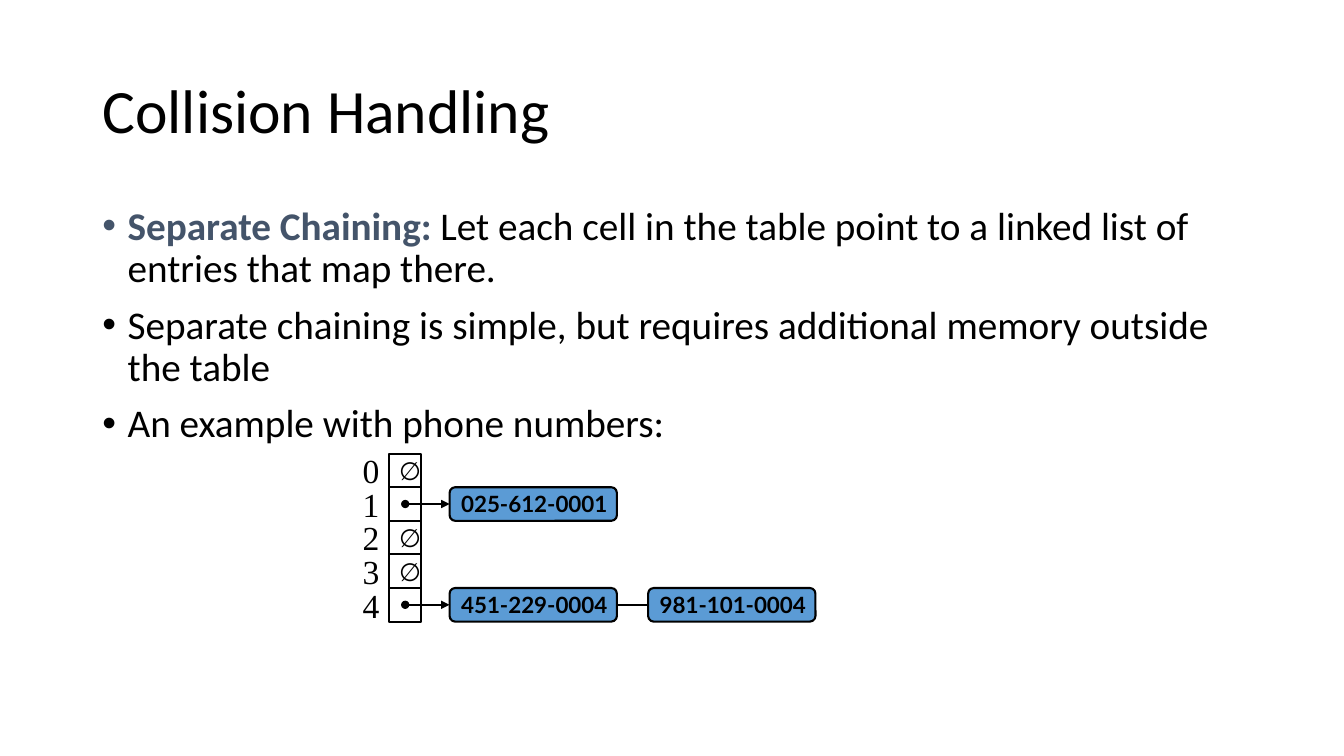
from lxml import etree
from pptx import Presentation
from pptx import util as u
from pptx.dml import color
from pptx.enum import shapes, text
from pptx.oxml import ns

INK, BLUE, SLATE = "000000", "5B9BD5", "44546A"
COLUMNS, ROWS = 80, 45


def rgb(value):
    return color.RGBColor.from_string(value)


def add_text(paragraph, content, font="Calibri", size=28, ink=INK, bold=False):
    run = paragraph.add_run()
    run.text = content
    run.font.name = font
    run.font.size = u.Pt(size)
    run.font.bold = bold
    run.font.color.rgb = rgb(ink)


class Board:
    line_width = u.Pt(1.5)

    def __init__(self, presentation):
        self.column = presentation.slide_width / COLUMNS
        self.row = presentation.slide_height / ROWS
        self.slide = presentation.slides.add_slide(presentation.slide_layouts[1])

    def place(self, left, top, width, height):
        return [round(left * self.column), round(top * self.row),
                round(width * self.column), round(height * self.row)]

    def placeholder(self, index, box, anchor):
        shape = self.slide.placeholders[index]
        shape.left, shape.top, shape.width, shape.height = self.place(*box)
        frame = shape.text_frame
        frame.auto_size = text.MSO_AUTO_SIZE.NONE
        frame.vertical_anchor = anchor
        return frame

    def title(self, content, box):
        frame = self.placeholder(0, box, text.MSO_ANCHOR.MIDDLE)
        paragraph = frame.paragraphs[0]
        paragraph.alignment = text.PP_ALIGN.LEFT
        paragraph.line_spacing = 0.9
        add_text(paragraph, content, size=44)

    def bullets(self, items, box):
        frame = self.placeholder(1, box, text.MSO_ANCHOR.TOP)
        for number, (lead, content) in enumerate(items):
            paragraph = frame.add_paragraph() if number else frame.paragraphs[0]
            paragraph.line_spacing = 0.9
            paragraph.space_before = u.Pt(10)
            properties = paragraph._p.get_or_add_pPr()
            properties.set("marL", str(u.Inches(0.25)))
            properties.set("indent", str(u.Inches(-0.25)))
            etree.SubElement(properties, ns.qn("a:buChar"), char="•")
            if lead:
                add_text(paragraph, lead, ink=SLATE, bold=True)
            add_text(paragraph, content)

    def box(self, kind, box, content="", fill=None, **style):
        shape = self.slide.shapes.add_shape(kind, *self.place(*box))
        shape.shadow.inherit = False
        if fill:
            shape.fill.solid()
            shape.fill.fore_color.rgb = rgb(fill)
        else:
            shape.fill.background()
        shape.line.color.rgb = rgb(INK)
        shape.line.width = self.line_width
        if content:
            frame = shape.text_frame
            frame.word_wrap = False
            frame.vertical_anchor = text.MSO_ANCHOR.MIDDLE
            frame.paragraphs[0].alignment = text.PP_ALIGN.LEFT
            add_text(frame.paragraphs[0], content, font="Lato", **style)

    def label(self, content, box):
        frame = self.slide.shapes.add_textbox(*self.place(*box)).text_frame
        frame.word_wrap = False
        frame.auto_size = text.MSO_AUTO_SIZE.SHAPE_TO_FIT_TEXT
        add_text(frame.paragraphs[0], content, font="Times New Roman", size=24)

    def link(self, start, end, row, arrow):
        height = round(row * self.row)
        connector = self.slide.shapes.add_connector(
            shapes.MSO_CONNECTOR.STRAIGHT, round(start * self.column), height,
            round(end * self.column), height)
        connector.line.color.rgb = rgb(INK)
        connector.line.width = self.line_width
        if arrow:
            line = connector.line._get_or_add_ln()
            etree.SubElement(line, ns.qn("a:headEnd"), type="oval")
            etree.SubElement(line, ns.qn("a:tailEnd"), type="triangle")
        etree.SubElement(connector._element.spPr, ns.qn("a:effectLst"))


def draw_hash_table(board, chains):
    cell_left, cell_width, height = 23.16, 1.92, 2
    node_left, node_width, node_pitch = 26.76, 9.96, 11.82
    for index, chain in enumerate(chains):
        top = 27 + index * height
        middle = top + height / 2
        board.label(str(index), (21, top - 0.5, 2.2, 3))
        board.box(shapes.MSO_SHAPE.RECTANGLE, (cell_left, top, cell_width, height),
                  "" if chain else "∅", size=18)
        start = cell_left + cell_width / 2
        for position, number in enumerate(chain):
            left = node_left + position * node_pitch
            board.box(shapes.MSO_SHAPE.ROUNDED_RECTANGLE,
                      (left, top, node_width, height), number,
                      fill=BLUE, size=16, bold=True)
            board.link(start, left, middle, arrow=position == 0)
            start = left + node_width


def main():
    presentation = Presentation()
    presentation.slide_width = u.Inches(13.33)
    presentation.slide_height = u.Inches(7.5)
    board = Board(presentation)
    board.title("Collision Handling", (5.5, 2.4, 69, 8.7))
    board.bullets([
        ("Separate Chaining: ",
         "Let each cell in the table point to a linked list of entries that map there."),
        ("", "Separate chaining is simple, but requires additional memory outside the table"),
        ("", "An example with phone numbers:"),
    ], (5.5, 12, 69, 28.56))
    draw_hash_table(board, [
        [], ["025-612-0001"], [], [], ["451-229-0004", "981-101-0004"],
    ])
    presentation.save("out.pptx")


if __name__ == "__main__":
    main()
